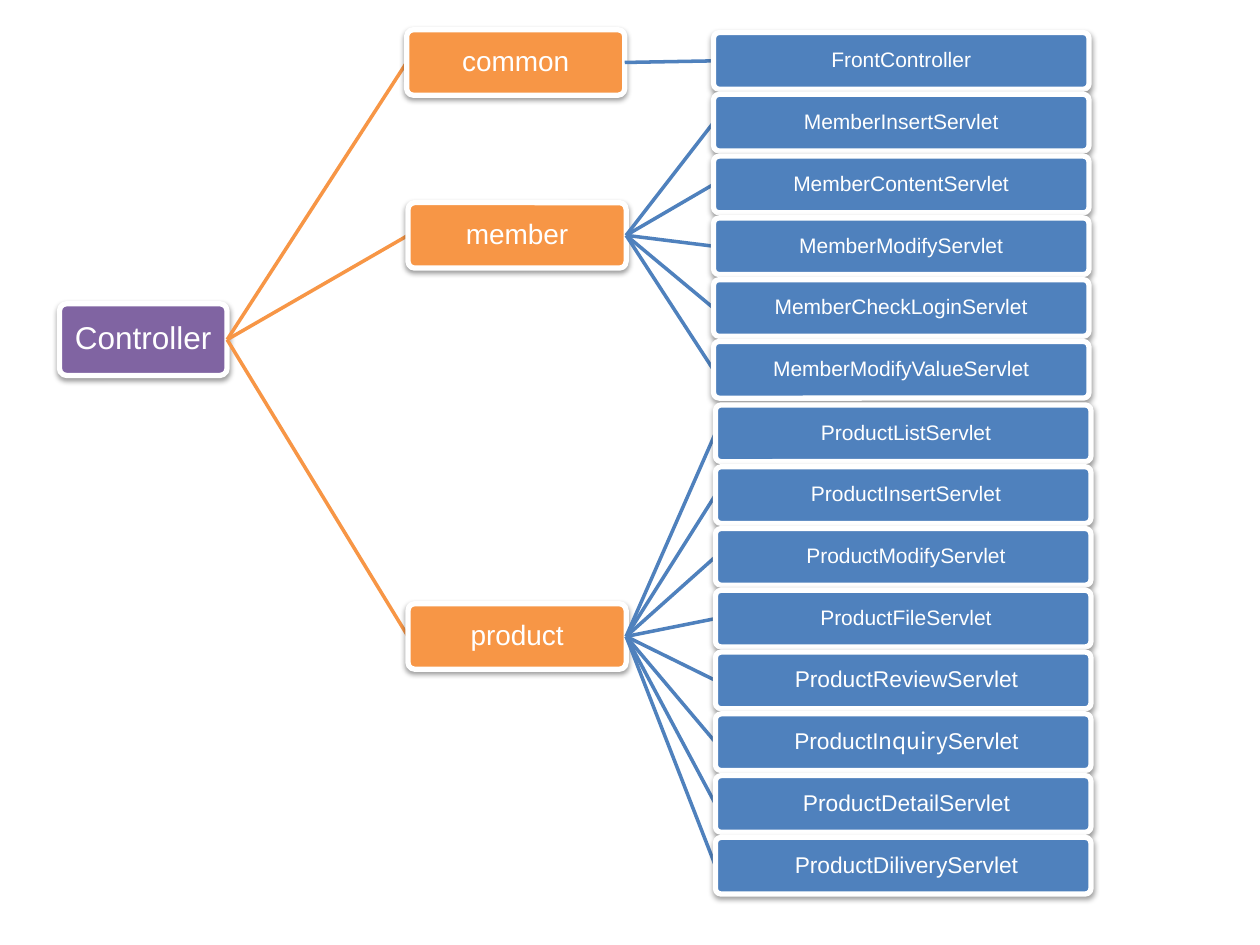
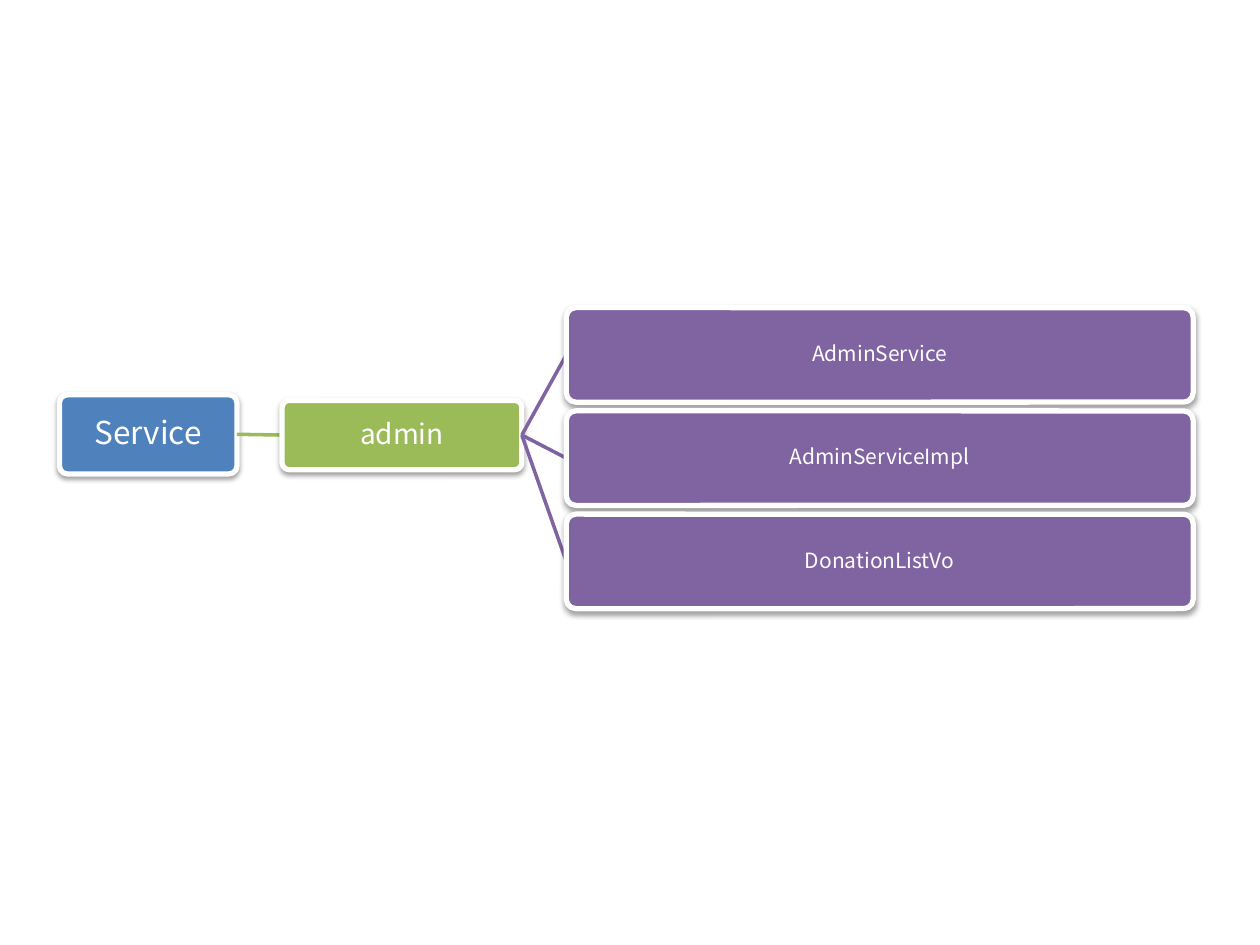
from lxml.etree import SubElement
from pptx import Presentation
from pptx.dml.color import RGBColor
from pptx.enum.shapes import MSO_CONNECTOR, MSO_SHAPE
from pptx.enum.text import MSO_ANCHOR, PP_ALIGN
from pptx.oxml.ns import qn
from pptx.util import Pt

WHITE, BLUE, ORANGE = "FFFFFF", "4F81BD", "F79646"
PURPLE, GREEN = "8064A2", "9BBB59"
LATIN, KOREAN = "Arial", "Noto Sans CJK KR"
LEFT_SITE, RIGHT_SITE = 1, 3

MEMBER_SERVLETS = ["MemberInsertServlet", "MemberContentServlet", "MemberModifyServlet",
                   "MemberCheckLoginServlet", "MemberModifyValueServlet"]
PRODUCT_SERVLETS = [" ProductListServlet", " ProductInsertServlet", " ProductModifyServlet",
                    " ProductFileServlet"]
PRODUCT_PAGE_SERVLETS = [" ProductReviewServlet",
                         [(" ProductI", LATIN), ("nquiry", KOREAN), ("Servlet", LATIN)],
                         " ProductDetailServlet", " ProductDiliveryServlet"]


def rgb(code):
    """Turn a hex string into a colour."""
    return RGBColor.from_string(code)


def write(shape, text, size=12, font=LATIN, color=WHITE):
    """Centre text in a shape; text is a string or (text, font) pairs."""
    frame = shape.text_frame
    frame.word_wrap = True
    frame.vertical_anchor = MSO_ANCHOR.MIDDLE
    frame.margin_left = frame.margin_right = Pt(2)
    frame.margin_top = frame.margin_bottom = Pt(2)
    paragraph = frame.paragraphs[0]
    paragraph.alignment = PP_ALIGN.CENTER
    paragraph.line_spacing = 0.9
    for words, typeface in [(text, font)] if isinstance(text, str) else text:
        run = paragraph.add_run()
        run.text = words
        run.font.size = Pt(size)
        run.font.name = typeface
        run.font.color.rgb = rgb(color)


def add_soft_shadow(shape):
    """Give a shape a faint shadow straight below it."""
    shape.shadow.inherit = False
    effects = shape._element.spPr.find(qn("a:effectLst"))
    shadow = SubElement(effects, qn("a:outerShdw"), blurRad=str(Pt(3.1)), dist=str(Pt(1.6)),
                        dir="5400000", rotWithShape="0")
    black = SubElement(shadow, qn("a:srgbClr"), val="000000")
    SubElement(black, qn("a:alpha"), val="38000")


def add_node(slide, text, left, top, width, height, fill, parent=None, **text_format):
    """Draw one box of the tree, with the branch from its parent beneath it."""
    branch = add_branch(slide, parent, left, top + height / 2, fill) if parent else None
    node = slide.shapes.add_shape(MSO_SHAPE.ROUNDED_RECTANGLE,
                                  Pt(left), Pt(top), Pt(width), Pt(height))
    node.adjustments[0] = 0.1
    node.fill.solid()
    node.fill.fore_color.rgb = rgb(fill)
    node.line.color.rgb = rgb(WHITE)
    node.line.width = Pt(3)
    add_soft_shadow(node)
    write(node, text, **text_format)
    if branch:
        branch.end_connect(node, LEFT_SITE)
    return node


def add_branch(slide, parent, x, y, color):
    """Draw a line from the right side of the parent to a point."""
    branch = slide.shapes.add_connector(MSO_CONNECTOR.STRAIGHT, parent.left + parent.width,
                                        parent.top + parent.height // 2, Pt(x), Pt(y))
    branch.begin_connect(parent, RIGHT_SITE)
    branch.line.color.rgb = rgb(color)
    branch.line.width = Pt(2)
    SubElement(branch._element.spPr, qn("a:effectLst"))
    return branch


def add_leaves(slide, parent, names, left, top, width, height, step, fill, **text_format):
    """Stack the children of one parent at an even step."""
    for row, name in enumerate(names):
        add_node(slide, name, left, top + row * step, width, height, fill, parent, **text_format)


def build_controller_tree(slide):
    """Draw the controller packages and their servlets."""
    step = 35.3
    controller = add_node(slide, "Controller", 34, 173.6, 95.8, 41, PURPLE, size=18)

    def add_package(name, left, top):
        return add_node(slide, name, left, top, 124.6, 37.4, ORANGE, controller, size=16)

    def add_servlets(package, names, left, top, size=12):
        add_leaves(slide, package, names, left, top, 214.6, 32.4, step, BLUE, size=size)

    common = add_package("common", 232.4, 17)
    add_servlets(common, ["FrontController"], 407.7, 18.6)
    member = add_package("member", 233.2, 115.8)
    add_servlets(member, MEMBER_SERVLETS, 407.7, 18.6 + step)
    product = add_package("product", 233.2, 345)
    product_top = 231.4
    add_servlets(product, PRODUCT_SERVLETS, 408.8, product_top)
    pages_top = product_top + len(PRODUCT_SERVLETS) * step
    add_servlets(product, PRODUCT_PAGE_SERVLETS, 408.8, pages_top, size=13)


def build_service_tree(slide):
    """Draw the service package and its classes."""
    service = add_node(slide, "Service", 34, 225.6, 101.4, 45.2, BLUE, size=18, font=KOREAN)
    admin = add_node(slide, "admin", 161.2, 228.8, 137, 39.6, GREEN, service,
                     size=16, font=KOREAN)
    add_leaves(slide, admin, ["AdminService", "AdminServiceImpl", "DonationListVo"],
               323.6, 175.8, 358.2, 54, 59, PURPLE, font=KOREAN)


def main():
    """Build both trees and save the deck."""
    deck = Presentation()
    deck.slide_width, deck.slide_height = Pt(720), Pt(540)
    blank = deck.slide_layouts[6]
    for build in (build_controller_tree, build_service_tree):
        build(deck.slides.add_slide(blank))
    deck.save("out.pptx")


if __name__ == "__main__":
    main()
